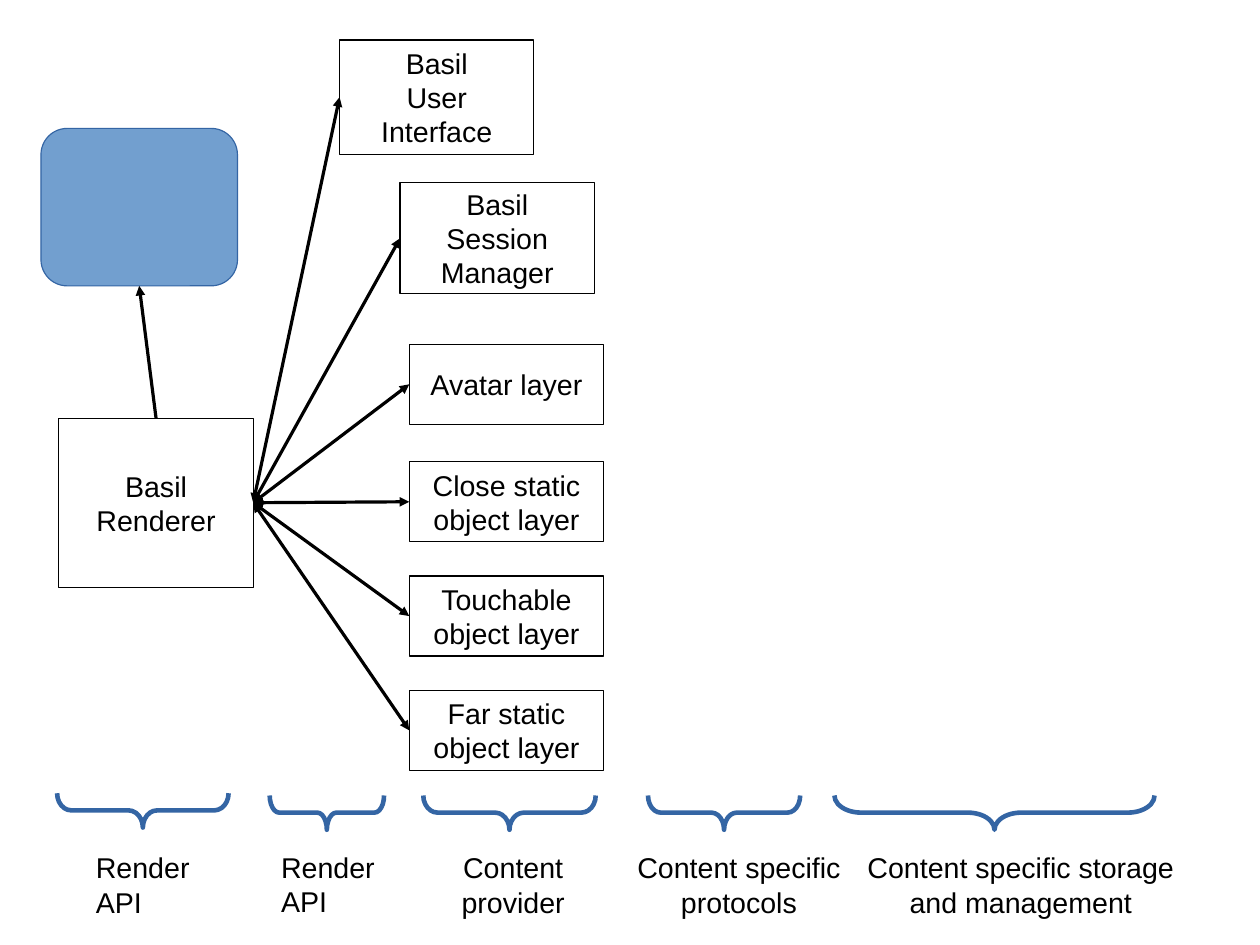
from pptx import Presentation
from pptx.dml.color import RGBColor
from pptx.enum.shapes import MSO_CONNECTOR, MSO_SHAPE
from pptx.enum.text import MSO_ANCHOR, MSO_AUTO_SIZE, PP_ALIGN
from pptx.oxml.ns import qn
from pptx.util import Pt
from lxml import etree

RECTANGLE = MSO_SHAPE.RECTANGLE
ROUNDED = MSO_SHAPE.ROUNDED_RECTANGLE
BRACE = MSO_SHAPE.LEFT_BRACE
STRAIGHT = MSO_CONNECTOR.STRAIGHT
MIDDLE, TOP = MSO_ANCHOR.MIDDLE, MSO_ANCHOR.TOP
CENTER, LEFT = PP_ALIGN.CENTER, PP_ALIGN.LEFT
GROW = MSO_AUTO_SIZE.SHAPE_TO_FIT_TEXT
SITE_TOP, SITE_LEFT, SITE_BOTTOM, SITE_RIGHT = range(4)

COLORS = {"ink": "000000", "panel": "729FCF", "accent": "3465A4"}
FONT = "Arial"
HAIRLINE = 0
BRACE_DEPTH = 21.6
BRACE_LINE = 2.89
NODE_WIDTH = 122.4
LAYER_HEIGHT = 50.4


def color(name):
    return RGBColor.from_string(COLORS[name])


def write(shape, text, size=18, ink="ink", align=CENTER, anchor=MIDDLE, wrap=True):
    """Fill a shape with text, one paragraph per line."""
    frame = shape.text_frame
    frame.word_wrap = wrap
    frame.vertical_anchor = anchor
    frame.text = text
    for para in frame.paragraphs:
        para.alignment = align
        para.font.name = FONT
        para.font.size = Pt(size)
        para.font.color.rgb = color(ink)


def add_outline(page, kind, box, line="ink", width=HAIRLINE, fill=None):
    shape = page.shapes.add_shape(kind, *(Pt(value) for value in box))
    shape.shadow.inherit = False
    if fill:
        shape.fill.solid()
        shape.fill.fore_color.rgb = color(fill)
    else:
        shape.fill.background()
    shape.line.color.rgb = color(line)
    shape.line.width = Pt(width)
    return shape


def add_node(page, box, text):
    node = add_outline(page, RECTANGLE, box)
    write(node, text)
    return node


def add_arrow(page, start, start_site, end, end_site, both=False):
    arrow = page.shapes.add_connector(STRAIGHT, 0, 0, 0, 0)
    arrow.begin_connect(start, start_site)
    arrow.end_connect(end, end_site)
    arrow.line.color.rgb = color("ink")
    arrow.line.width = Pt(HAIRLINE)
    line = arrow.line._get_or_add_ln()
    for tag in ("a:headEnd", "a:tailEnd") if both else ("a:tailEnd",):
        etree.SubElement(line, qn(tag), type="triangle")
    etree.SubElement(arrow._element.spPr, qn("a:effectLst"))


def add_brace(page, left, top, length):
    """Add a brace that opens upward, turned about its centre."""
    turn = (length - BRACE_DEPTH) / 2
    box = (left + turn, top - turn, BRACE_DEPTH, length)
    brace = add_outline(page, BRACE, box, line="accent", width=BRACE_LINE)
    brace.rotation = 270
    brace.adjustments[0] = length / BRACE_DEPTH / 12


def add_renderer(page, left, top):
    """Place the display panel above the renderer and return the renderer."""
    panel = add_outline(page, ROUNDED, (left, top, 123.8, 99.2),
                        line="accent", fill="panel")
    renderer = add_node(page, (left + 11.3, top + 182.5, NODE_WIDTH, 106.6),
                        "Basil\nRenderer")
    add_arrow(page, renderer, SITE_TOP, panel, SITE_BOTTOM)
    return renderer


def add_providers(page, left, top, renderer):
    """Place the content providers and join each to the renderer."""
    layer_left = left + 43.9
    static_top = top + 265.7
    specs = [
        (left, top, 72, "Basil\nUser\nInterface"),
        (left + 38.1, top + 90, 69.8, "Basil\nSession\nManager"),
        (layer_left, top + 191.7, LAYER_HEIGHT, "Avatar layer"),
    ]
    names = ["Close static", "Touchable", "Far static"]
    specs += [(layer_left, static_top + 72 * row, LAYER_HEIGHT, f"{name} object layer")
              for row, name in enumerate(names)]
    for node_left, node_top, height, text in specs:
        node = add_node(page, (node_left, node_top, NODE_WIDTH, height), text)
        add_arrow(page, node, SITE_LEFT, renderer, SITE_RIGHT, both=True)


def add_legend_entry(page, top, brace, label):
    """Place one brace and the label below it."""
    add_brace(page, brace[0], top + brace[1], brace[2])
    left, drop, width, text, align, wrap = label
    box = page.shapes.add_textbox(Pt(left), Pt(top + drop), Pt(width), Pt(47.5))
    write(box, text, align=align, anchor=TOP, wrap=wrap)
    box.text_frame.auto_size = GROW


def add_legend(page, top):
    entries = [
        ((36, 0, 108), (53.3, 32.4, 73.4, "Render\nAPI", LEFT, False)),
        ((169.9, 1.4, 72), (169.9, 32.1, 73.4, "Render\nAPI", LEFT, False)),
        ((266.6, 1.4, 108.6), (275, 32.4, 96.5, "Content provider", CENTER, True)),
        ((408.2, 1.4, 95.8),
         (393.8, 32.4, 143.3, "Content specific protocols", CENTER, True)),
        ((525.6, 1.4, 201.6),
         (537.8, 32.4, 210.2, "Content specific storage and management", CENTER, True)),
    ]
    for brace, label in entries:
        add_legend_entry(page, top, brace, label)


def main():
    deck = Presentation()
    deck.slide_width, deck.slide_height = Pt(793.6), Pt(595.3)
    page = deck.slides.add_slide(deck.slide_layouts[6])
    renderer = add_renderer(page, 25.8, 80.9)
    add_providers(page, 213.9, 25.2, renderer)
    add_legend(page, 499.7)
    deck.save("out.pptx")


if __name__ == "__main__":
    main()
